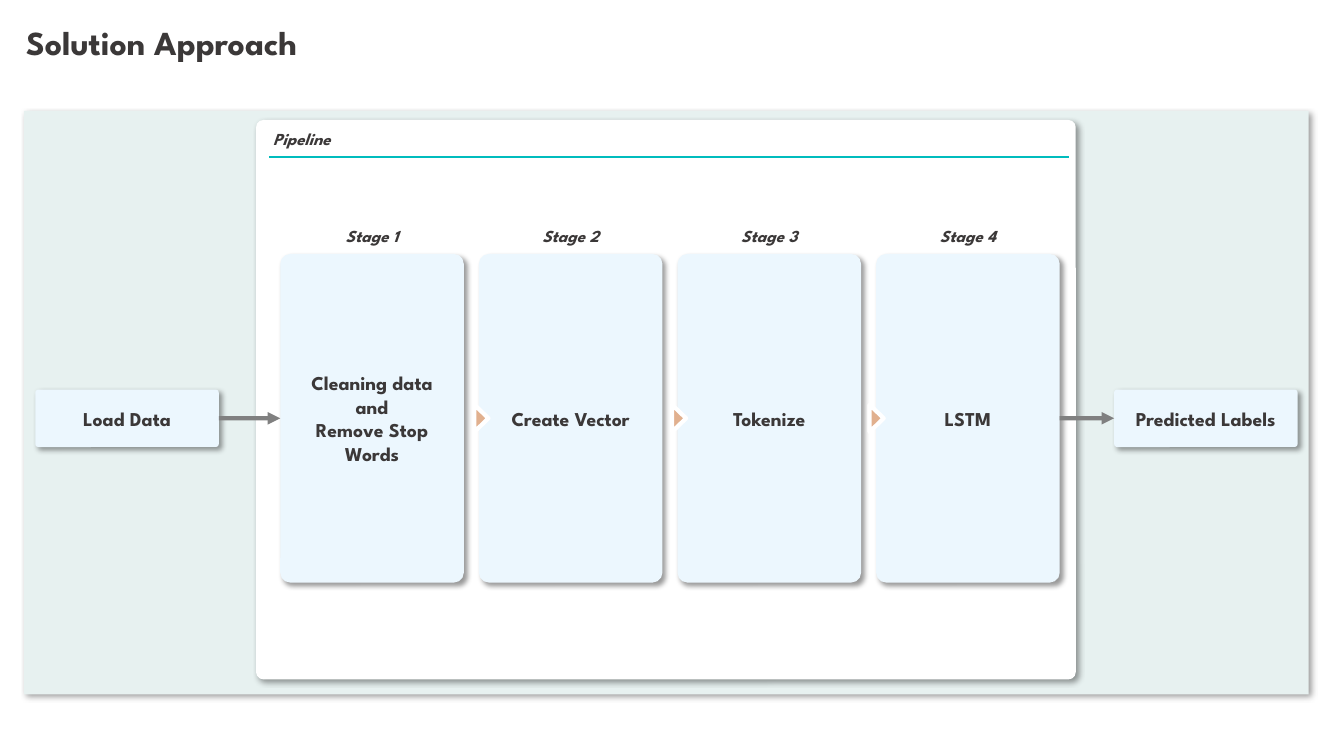
"""Build the Solution Approach slide: a four-stage pipeline between input and output."""
from pptx import Presentation
from pptx.dml.color import RGBColor
from pptx.enum.shapes import MSO_CONNECTOR as CONNECTOR, MSO_SHAPE as SHAPE
from pptx.enum.text import MSO_ANCHOR as ANCHOR, PP_ALIGN as ALIGN
from pptx.oxml import parse_xml
from pptx.oxml.ns import nsdecls
from pptx.util import Inches, Pt

DARK = RGBColor(0x3B, 0x38, 0x38)
MINT = RGBColor(0xE7, 0xF1, 0xF0)
WHITE = RGBColor(0xFF, 0xFF, 0xFF)
PALE_BLUE = RGBColor(0xEC, 0xF7, 0xFE)
TEAL = RGBColor(0x00, 0xBC, 0xBD)
PEACH = RGBColor(0xE1, 0xB0, 0x8E)
GREY = RGBColor(0x80, 0x80, 0x80)

FONT = "League Spartan"
MIDDLE = 4.15
BOX_WIDTH, STAGE_HEIGHT, END_HEIGHT = 1.82, 3.26, 0.57
STAGE_LEFT, STAGE_PITCH = 2.78, 1.97
MARK_LEFT, MARK_PITCH = 4.64, 1.96
MARK_WIDTH, MARK_HEIGHT = 0.27, 0.14
LABEL_WIDTH, LABEL_HEIGHT = 1.02, 0.3
STAGES = [["Cleaning data and", "Remove Stop Words"], ["Create Vector"], ["Tokenize"], ["LSTM"]]
SHADOW = (f'<a:outerShdw {nsdecls("a")} blurRad="{Pt(4)}" dist="{Pt(3)}" dir="2700000" '
          'algn="tl" rotWithShape="0"><a:srgbClr val="000000"><a:alpha val="40000"/>'
          '</a:srgbClr></a:outerShdw>')

presentation = Presentation()
presentation.slide_width, presentation.slide_height = Inches(13.33), Inches(7.5)
slide = presentation.slides.add_slide(presentation.slide_layouts[6])
shapes = slide.shapes


def write(shape, lines, size, align, anchor, italic=False, **spacing):
    """Fill a shape with bold paragraphs."""
    frame = shape.text_frame
    frame.word_wrap, frame.vertical_anchor = True, anchor
    for index, line in enumerate(lines):
        paragraph = frame.add_paragraph() if index else frame.paragraphs[0]
        paragraph.text, paragraph.alignment = line, align
        font = paragraph.font
        font.color.rgb = DARK
        formats = {"name": FONT, "size": Pt(size), "bold": True, "italic": italic}
        for target, values in ((font, formats), (paragraph, spacing)):
            for name, value in values.items():
                setattr(target, name, value)


def add_card(kind, left, top, width, height, color, corner=None, lines=()):
    """Add a borderless card with a soft shadow and centred text."""
    card = shapes.add_shape(kind, Inches(left), Inches(top), Inches(width), Inches(height))
    if corner is not None:
        card.adjustments[0] = corner
    card.fill.solid()
    card.fill.fore_color.rgb = color
    card.line.fill.background()
    card.shadow.inherit = False
    card.element.spPr.find("{*}effectLst").append(parse_xml(SHADOW))
    write(card, lines, 14, ALIGN.CENTER, ANCHOR.MIDDLE)
    return card


add_card(SHAPE.RECTANGLE, 0.24, 1.1, 12.74, 5.79, MINT)
add_card(SHAPE.ROUNDED_RECTANGLE, 2.54, 1.19, 8.13, 5.55, WHITE, 0.013)

title = shapes.add_textbox(Inches(0.16), Inches(0.11), Inches(13.02), Inches(0.66))
write(title, ["Solution Approach"], 24, ALIGN.LEFT, ANCHOR.MIDDLE, line_spacing=0.9)

columns = [STAGE_LEFT + STAGE_PITCH * index for index in range(len(STAGES))]
cards = [add_card(SHAPE.ROUNDED_RECTANGLE, left, MIDDLE - height / 2, BOX_WIDTH, height,
                  PALE_BLUE, 0.054, lines)
         for left, height, lines in [
             (0.35, END_HEIGHT, ["Load Data"]),
             *((left, STAGE_HEIGHT, lines) for left, lines in zip(columns, STAGES)),
             (11.05, END_HEIGHT, ["Predicted Labels"])]]

for index in range(len(STAGES) - 1):
    mark = shapes.add_shape(SHAPE.ISOSCELES_TRIANGLE, Inches(MARK_LEFT + MARK_PITCH * index),
                            Inches(MIDDLE - MARK_HEIGHT / 2), Inches(MARK_WIDTH), Inches(MARK_HEIGHT))
    mark.rotation = 90
    mark.shadow.inherit = False
    mark.fill.solid()
    mark.fill.fore_color.rgb = PEACH
    mark.line.color.rgb, mark.line.width = WHITE, Pt(3)

rule = shapes.add_connector(CONNECTOR.STRAIGHT, Inches(2.67), Inches(1.56), Inches(10.6), Inches(1.56))
lines = [(rule, TEAL, 1.5)]
for source, target in (cards[:2], cards[-2:]):
    arrow = shapes.add_connector(CONNECTOR.STRAIGHT, 0, 0, 0, 0)
    arrow.begin_connect(source, 3)
    arrow.end_connect(target, 1)
    lines.append((arrow, GREY, 3))
for line, color, width in lines:
    line.line.color.rgb, line.line.width = color, Pt(width)
    if line is not rule:
        line.get_or_add_ln().append(parse_xml(f'<a:tailEnd {nsdecls("a")} type="triangle"/>'))
    line.element.spPr.append(parse_xml(f'<a:effectLst {nsdecls("a")}/>'))

captions = [("Pipeline", 2.61, 1.23, 4.35, ALIGN.LEFT)]
captions += [(f"Stage {number}", left + (BOX_WIDTH - LABEL_WIDTH) / 2, 2.19, LABEL_WIDTH, ALIGN.CENTER)
             for number, left in enumerate(columns, 1)]
for text, left, top, width, align in captions:
    caption = shapes.add_textbox(Inches(left), Inches(top), Inches(width), Inches(LABEL_HEIGHT))
    write(caption, [text], 12, align, ANCHOR.TOP, italic=True, space_before=Pt(2), space_after=Pt(2))

presentation.save("out.pptx")
